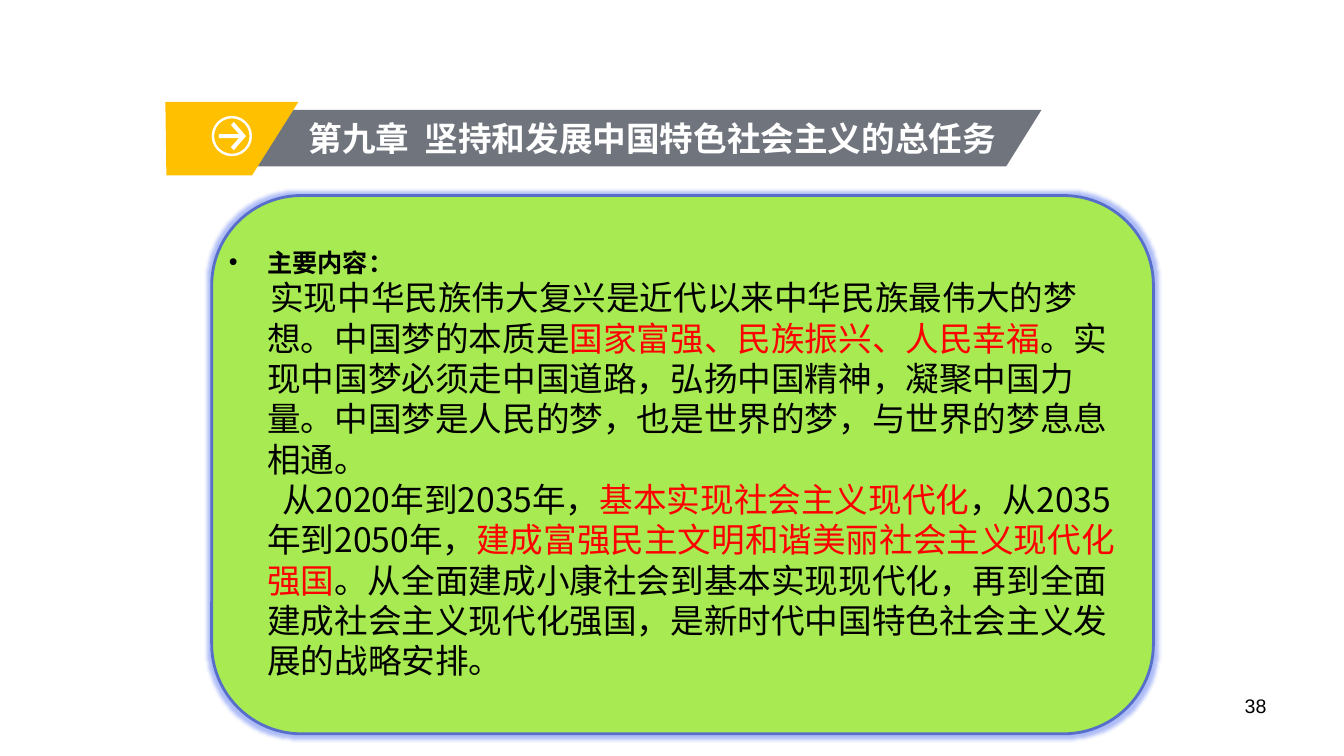
"""Build the chapter nine slide: heading banner, summary panel and page number."""
from pptx import Presentation
from pptx.dml.color import RGBColor
from pptx.enum.shapes import MSO_SHAPE
from pptx.enum.text import MSO_ANCHOR, MSO_AUTO_SIZE, PP_ALIGN
from pptx.oxml import parse_xml
from pptx.oxml.ns import nsdecls
from pptx.util import Inches, Pt

CJK = "Noto Sans CJK SC"
BLACK, RED, WHITE = "000000", "FF0000", "FFFFFF"


def paint(color_owner, color):
    """Give a fill or a font a solid colour from a hex string."""
    if hasattr(color_owner, "solid"):
        color_owner.solid()
        color_owner = color_owner.fore_color
    else:
        color_owner = color_owner.color
    color_owner.rgb = RGBColor.from_string(color)


def write(paragraph, text, color, **font_format):
    """Add a run with the given font values."""
    run = paragraph.add_run()
    run.text = text
    for key, value in font_format.items():
        setattr(run.font, key, value)
    paint(run.font, color)
    run.font._element.append(parse_xml(
        f'<a:ea {nsdecls("a")} typeface="{font_format["name"]}"/>'))


deck = Presentation()
deck.slide_width, deck.slide_height = Inches(13.33), Inches(7.5)
slide = deck.slides.add_slide(deck.slide_layouts[1])
shapes = slide.shapes
heading, summary = shapes.title, slide.placeholders[1]

banner_outlines = [
    ("70757D", [(172, 109), (1033, 109), (998, 165), (172, 165)]),
    ("FFC000", [(164, 101), (296, 101), (250, 174), (165, 174)]),
    (WHITE, [(232, 149), (229, 146), (237, 137), (217, 137), (217, 133),
             (237, 133), (229, 124), (232, 121), (244, 135)]),
]
filled = []
for color, corners in banner_outlines:
    outline = shapes.build_freeform(*corners[0], scale=Inches(0.01))
    outline.add_line_segments(corners[1:], close=True)
    filled.append((outline.convert_to_shape(), color))

ring = shapes.add_shape(MSO_SHAPE.DONUT, Inches(2.1), Inches(1.15), Inches(0.4), Inches(0.4))
ring.adjustments[0] = 0.06
panel = shapes.add_shape(MSO_SHAPE.ROUNDED_RECTANGLE,
                         Inches(2.1), Inches(1.94), Inches(9.34), Inches(5.34))
filled += [(ring, WHITE), (panel, "A7EA52")]
for part, color in filled:
    paint(part.fill, color)
    part.line.fill.background()
    part.shadow.inherit = False

paint(panel.line.fill, "576FCB")
panel.line.width = Pt(2)
panel._element.spPr.find("{*}effectLst").append(parse_xml(
    f'<a:glow {nsdecls("a")} rad="63500"><a:srgbClr val="5B78F0">'
    '<a:alpha val="50000"/></a:srgbClr></a:glow>'))

page_number = shapes.add_textbox(0, 0, 0, 0)
text_areas = [
    (heading, (2.96, 1.12, 7.09, 0.5), False, MSO_ANCHOR.MIDDLE, 0.05),
    (summary, (2.17, 2.25, 9, 4.94), True, MSO_ANCHOR.TOP, 0.1),
    (page_number, (9.55, 6.83, 3.11, 0.52), True, MSO_ANCHOR.TOP, 0.05),
]
for area, place, wraps, anchor, top_margin in text_areas:
    for key, value in zip(("left", "top", "width", "height"), place):
        setattr(area, key, Inches(value))
    frame_format = {"auto_size": MSO_AUTO_SIZE.NONE, "word_wrap": wraps,
                    "vertical_anchor": anchor, "margin_top": Inches(top_margin)}
    for key, value in frame_format.items():
        setattr(area.text_frame, key, value)
    shapes._spTree.append(area._element)

chapter = heading.text_frame.paragraphs[0]
chapter.alignment = PP_ALIGN.LEFT
write(chapter, "第九章  坚持和发展中国特色社会主义的总任务", WHITE,
      name=CJK, size=Pt(24), bold=True)

number = page_number.text_frame.paragraphs[0]
number.alignment = PP_ALIGN.RIGHT
write(number, "38", BLACK, name="Arial", size=Pt(14))

main_points = [
    (-0.38, '<a:buChar {} char="•"/>', 18, True, [("主要内容：", BLACK)]),
    (0.03, "<a:buNone {}/>", 24, False, [
        ("实现中华民族伟大复兴是近代以来中华民族最伟大的梦想。中国梦的本质是", BLACK),
        ("国家富强、民族振兴、人民幸福", RED),
        ("。实现中国梦必须走中国道路，弘扬中国精神，凝聚中国力量。"
         "中国梦是人民的梦，也是世界的梦，与世界的梦息息相通。", BLACK)]),
    (0.15, "<a:buNone {}/>", 24, False, [
        ("从2020年到2035年，", BLACK),
        ("基本实现社会主义现代化", RED),
        ("，从2035年到2050年，", BLACK),
        ("建成富强民主文明和谐美丽社会主义现代化强国", RED),
        ("。从全面建成小康社会到基本实现现代化，再到全面建成社会主义现代化强国，"
         "是新时代中国特色社会主义发展的战略安排。", BLACK)]),
]
for index, (indent, bullet, size, bold, passages) in enumerate(main_points):
    body = summary.text_frame
    point = body.add_paragraph() if index else body.paragraphs[0]
    for key, value in {"space_before": Pt(0), "line_spacing": Pt(28.8)}.items():
        setattr(point, key, value)
    properties = point._p.get_or_add_pPr()
    for key, value in {"marL": Inches(0.38), "indent": Inches(indent), "hangingPunct": 0}.items():
        properties.set(key, str(value))
    properties.append(parse_xml(bullet.format(nsdecls("a"))))
    for text, color in passages:
        write(point, text, color, name=CJK, size=Pt(size), bold=bold)

deck.save("out.pptx")
